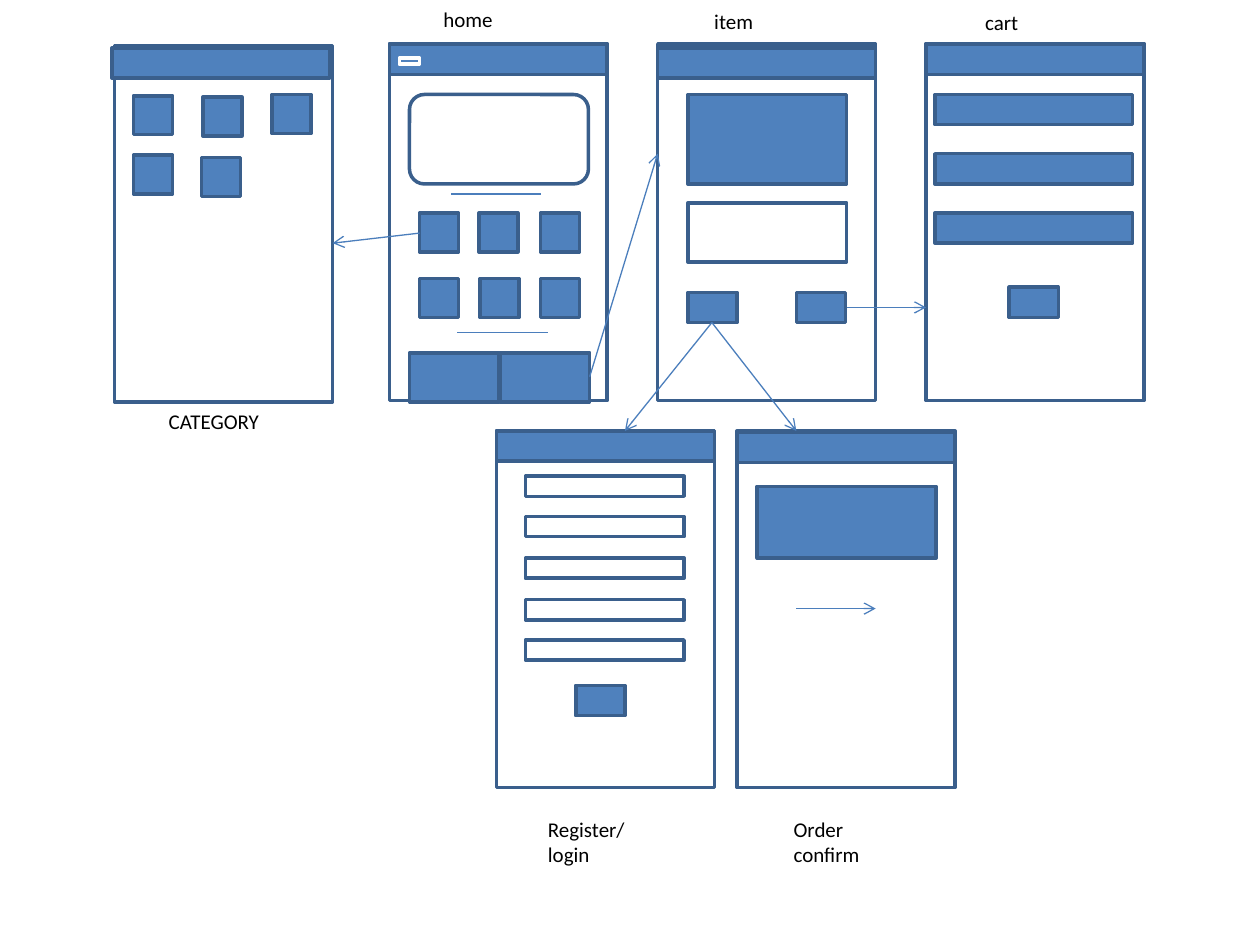
"""Draw the wireframe flow of a shop: six screens, their labels and links."""
from dataclasses import dataclass

from lxml.etree import SubElement
from pptx import Presentation
from pptx.dml.color import RGBColor
from pptx.enum.shapes import MSO_CONNECTOR as Connector, MSO_SHAPE as Preset
from pptx.oxml.ns import qn
from pptx.util import Emu, Pt

PX = 9144


@dataclass(frozen=True)
class Theme:
    fill: RGBColor = RGBColor(0x4F, 0x81, 0xBD)
    outline: RGBColor = RGBColor(0x3A, 0x5F, 0x8C)
    link: RGBColor = RGBColor(0x4B, 0x7E, 0xBC)
    white: RGBColor = RGBColor(0xFF, 0xFF, 0xFF)
    text: RGBColor = RGBColor(0, 0, 0)
    font: str = "Calibri"
    text_size: Pt = Pt(12)
    outline_width: Pt = Pt(2)
    link_width: Pt = Pt(0.75)


THEME = Theme()


@dataclass(frozen=True)
class Box:
    left: int
    top: int
    width: int
    height: int
    filled: bool = True
    preset: Preset = Preset.RECTANGLE
    outline: RGBColor = THEME.outline


@dataclass(frozen=True)
class Screen:
    left: int
    top: int
    header_left: int
    header_top: int
    content: list[Box]


@dataclass(frozen=True)
class Link:
    start: tuple[int, int]
    end: tuple[int, int]
    arrow: bool = True


@dataclass(frozen=True)
class Label:
    text: str
    left: int
    top: int
    height: int = 30


def icon(left: int, top: int) -> Box:
    return Box(left, top, 31, 31)


def button(left: int, top: int) -> Box:
    return Box(left, top, 39, 24)


HOME = [
    Box(325, 75, 142, 71, False, Preset.ROUNDED_RECTANGLE),
    Box(317, 46, 16, 5, outline=THEME.white),
    *(icon(left, 169) for left in (333, 380, 429)),
    *(icon(left, 221) for left in (333, 381, 429)),
    *(Box(left, 280, 71, 39) for left in (325, 397)),
]
ITEM = [
    Box(546, 75, 126, 71),
    Box(546, 161, 126, 47, False),
    button(546, 232),
    button(632, 232),
]
REGISTER = [
    *(Box(417, 378 + round(32.5 * row), 126, 16, False) for row in range(5)),
    button(457, 544),
]
CART = [*(Box(742, 75 + 47 * row, 157, 24) for row in range(3)), button(801, 228)]
CONFIRM = [Box(601, 386, 142, 57)]
CATEGORY = [
    icon(106, 76), icon(161, 77), icon(216, 75),
    icon(106, 123), icon(160, 125),
]

SCREENS = [
    Screen(309, 35, 309, 35, HOME),
    Screen(522, 35, 522, 38, ITEM),
    Screen(394, 342, 394, 342, REGISTER),
    Screen(735, 35, 735, 35, CART),
    Screen(585, 342, 585, 343, CONFIRM),
    Screen(91, 36, 89, 38, CATEGORY),
]
LINKS = [
    Link((363, 264), (435, 264), False),
    Link((358, 154), (429, 154), False),
    Link((632, 483), (695, 483)),
    Link((565, 256), (496, 342)),
    Link((565, 256), (632, 342)),
    Link((672, 244), (735, 244)),
    Link((468, 299), (522, 122)),
    Link((333, 185), (264, 193)),
]
LABELS = [
    Label("CATEGORY", 124, 319),
    Label("home", 342, 0),
    Label("item", 557, 2),
    Label("cart", 772, 3),
    Label("Register/login", 425, 643, 50),
    Label("Order confirm", 620, 643, 50),
]


def emu(*lengths: int) -> list[Emu]:
    return [Emu(length * PX) for length in lengths]


def draw_box(slide, box: Box) -> None:
    shape = slide.shapes.add_shape(
        box.preset, *emu(box.left, box.top, box.width, box.height))
    shape.shadow.inherit = False
    if box.filled:
        shape.fill.solid()
        shape.fill.fore_color.rgb = THEME.fill
    else:
        shape.fill.background()
    shape.line.color.rgb = box.outline
    shape.line.width = THEME.outline_width


def draw_screen(slide, screen: Screen) -> None:
    draw_box(slide, Box(screen.left, screen.top, 173, 283, False))
    draw_box(slide, Box(screen.header_left, screen.header_top, 173, 24))
    for box in screen.content:
        draw_box(slide, box)


def draw_link(slide, link: Link) -> None:
    connector = slide.shapes.add_connector(
        Connector.STRAIGHT, *emu(*link.start, *link.end))
    connector.line.color.rgb = THEME.link
    connector.line.width = THEME.link_width
    properties = connector.element.spPr
    if link.arrow:
        SubElement(properties.find(qn("a:ln")), qn("a:tailEnd"), type="arrow")
    SubElement(properties, qn("a:effectLst"))


def draw_label(slide, label: Label) -> None:
    shape = slide.shapes.add_textbox(*emu(label.left, label.top, 102, label.height))
    text_frame = shape.text_frame
    text_frame.word_wrap = True
    text_frame.text = label.text
    font = text_frame.paragraphs[0].runs[0].font
    font.name = THEME.font
    font.size = THEME.text_size
    font.color.rgb = THEME.text


def main() -> None:
    presentation = Presentation()
    presentation.slide_width, presentation.slide_height = emu(1000, 750)
    slide = presentation.slides.add_slide(presentation.slide_layouts[6])
    for screen in SCREENS:
        draw_screen(slide, screen)
    for link in LINKS:
        draw_link(slide, link)
    for label in LABELS:
        draw_label(slide, label)
    presentation.save("out.pptx")


if __name__ == "__main__":
    main()
